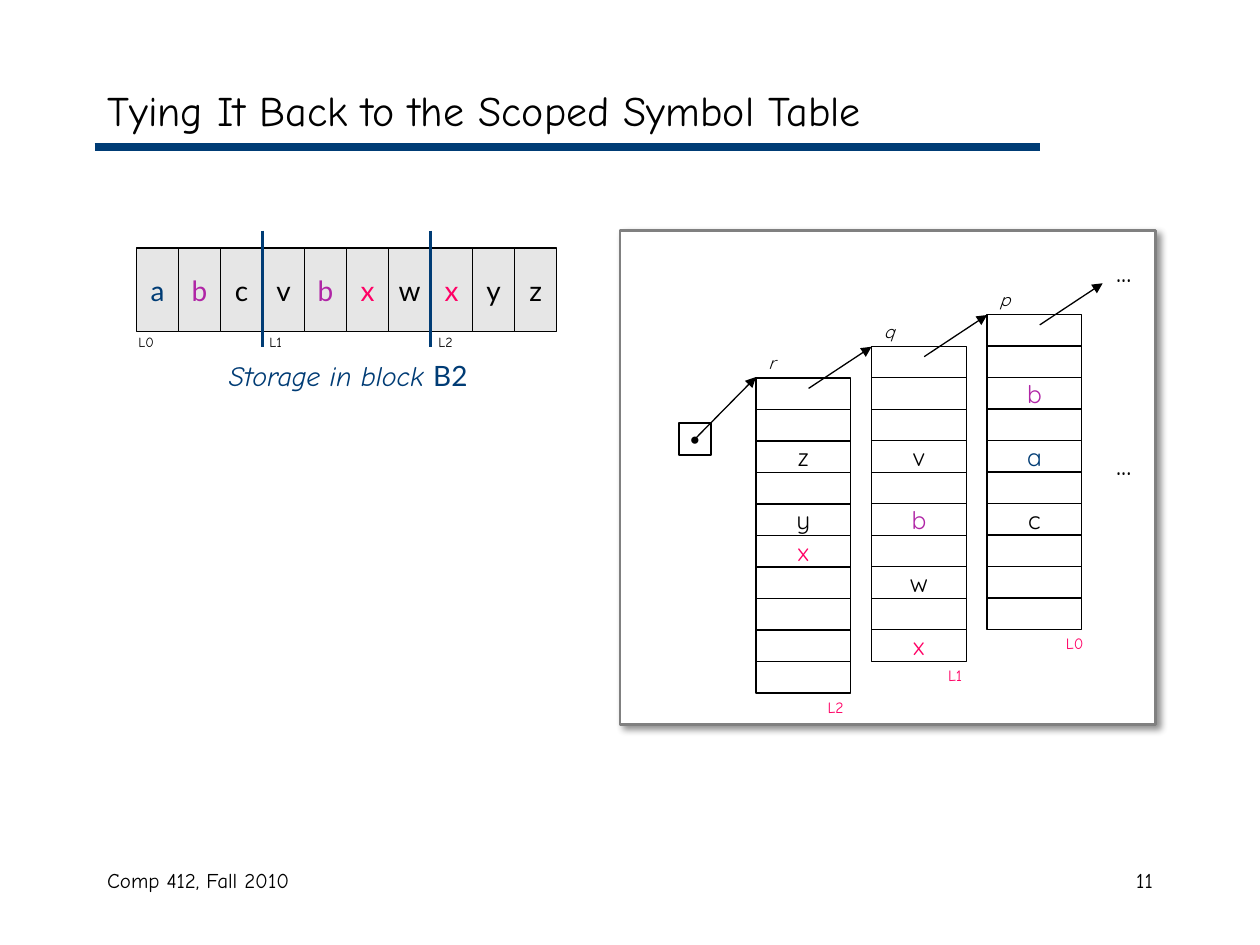
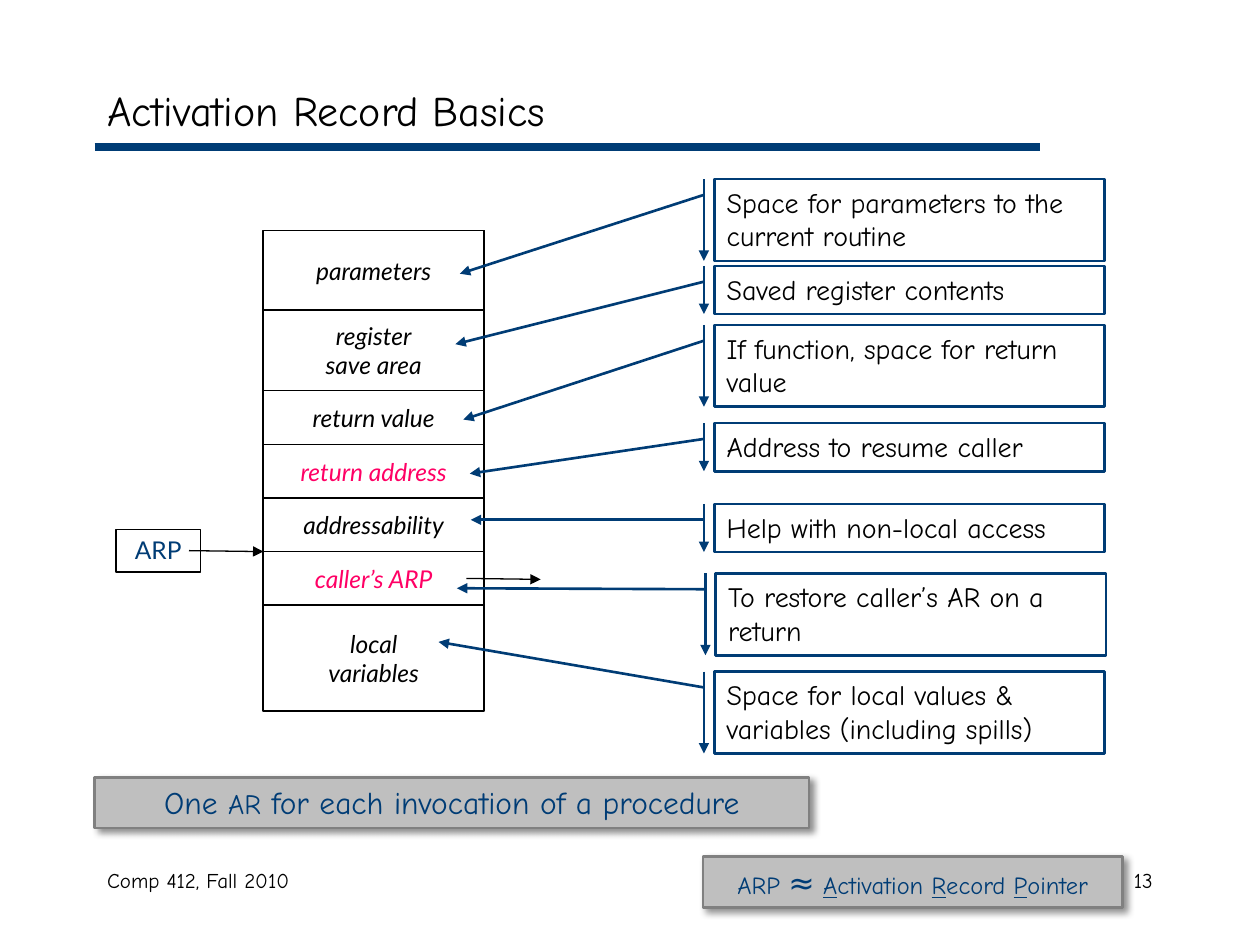
"""Build two lecture slides on scoped symbol tables and activation records."""
from dataclasses import dataclass
from typing import Any, NamedTuple

from lxml import etree
from pptx import Presentation
from pptx import util as u
from pptx.dml.color import RGBColor
from pptx.enum import shapes, text
from pptx.oxml import ns

COLORS = {
    "black": "000000", "white": "FFFFFF", "navy": "003C75", "pink": "FF0065",
    "purple": "B025A6", "cell": "E6E6E6", "banner": "BFBFBF", "edge": "808080",
}
HAND, SANS, ROUND = "Comic Neue", "Lato", "Quicksand"
LEFT, CENTER, RIGHT = text.PP_ALIGN.LEFT, text.PP_ALIGN.CENTER, text.PP_ALIGN.RIGHT
TOP, MIDDLE = text.MSO_ANCHOR.TOP, text.MSO_ANCHOR.MIDDLE
RECTANGLE = shapes.MSO_SHAPE.RECTANGLE
CALLOUT = shapes.MSO_SHAPE.LINE_CALLOUT_1_BORDER_AND_ACCENT_BAR


class Run(NamedTuple):
    """A stretch of text in one format; a line break starts a new paragraph."""
    words: str
    size: float
    name: str = HAND
    color: str = "black"
    italic: bool = False
    underline: bool = False


class Box(NamedTuple):
    """A rectangle in centimetres."""
    left: float
    top: float
    width: float
    height: float


class Point(NamedTuple):
    """A place in centimetres."""
    x: float
    y: float


@dataclass
class HashTable:
    """One level of the symbol table, with the names held in its slots."""
    name: str
    level: str
    slots: dict[int, str]
    colors: dict[str, str]


@dataclass
class Field:
    """One field of the activation record."""
    label: str
    height: float
    color: str = "black"


@dataclass
class Note:
    """A callout that explains a field of the record."""
    words: str
    top: float
    height: float
    target: Point
    left: float = 14.4


STORAGE = "abcvbxwxyz"
STORAGE_COLORS = ["navy", "purple", "black", "black", "purple", "pink", "black", "pink", "black", "black"]
SCOPES = [("L0", 2.54), ("L1", 5.18), ("L2", 8.59)]
DIVIDERS = [3, 7]
TABLES = [
    HashTable("r", "L2", {2: "z", 4: "y", 5: "x"}, {"x": "pink"}),
    HashTable("q", "L1", {3: "v", 5: "b", 7: "w", 9: "x"}, {"b": "purple", "x": "pink"}),
    HashTable("p", "L0", {2: "b", 4: "a", 6: "c"}, {"b": "purple", "a": "navy"}),
]
FIELDS = [
    Field("parameters", 1.6),
    Field("register\nsave area", 1.63),
    Field("return value", 1.08),
    Field("return address", 1.08, "pink"),
    Field("addressability", 1.08),
    Field("caller’s ARP", 1.08, "pink"),
    Field("local\nvariables", 2.13),
]
NOTES = [
    Note("Space for parameters to the current routine", 3.61, 1.65, Point(9.27, 5.52)),
    Note("Saved register contents", 5.36, 0.97, Point(9.18, 6.94)),
    Note("If function, space for return value", 6.55, 1.65, Point(9.34, 8.46)),
    Note("Address to resume caller", 8.53, 0.97, Point(9.47, 9.55)),
    Note("Help with non-local access", 10.16, 0.97, Point(9.49, 10.48)),
    Note("To restore caller’s AR on a\nreturn", 11.56, 1.65, Point(9.21, 11.86), 14.43),
    Note("Space for local values & variables (including spills)", 13.54, 1.65, Point(8.84, 12.94)),
]


def rgb(color: str) -> RGBColor:
    """Look up a named colour."""
    return RGBColor.from_string(COLORS[color])


def place(box: Box) -> list[u.Length]:
    """Turn a box into slide lengths."""
    return [u.Cm(value) for value in box]


def write(shape: Any, runs: list[Run], align: Any = LEFT, anchor: Any = TOP, wrap: bool = True) -> None:
    """Fill a shape with formatted runs."""
    frame = shape.text_frame
    for key, value in {"word_wrap": wrap, "vertical_anchor": anchor}.items():
        setattr(frame, key, value)
    paragraph = frame.paragraphs[0]
    paragraph.alignment = align
    for run in runs:
        for number, words in enumerate(run.words.split("\n")):
            if number:
                paragraph = frame.add_paragraph()
                paragraph.alignment = align
            piece = paragraph.add_run()
            piece.text = words
            formats = {"name": run.name, "size": u.Pt(run.size), "italic": run.italic, "underline": run.underline}
            for key, value in formats.items():
                setattr(piece.font, key, value)
            piece.font.color.rgb = rgb(run.color)


def add_label(slide: Any, box: Box, *runs: Run, align: Any = LEFT) -> None:
    """Add a plain text box."""
    write(slide.shapes.add_textbox(*place(box)), list(runs), align)


def set_line(shape: Any, color: str, width: float, arrow: bool = False) -> None:
    """Style an outline or a connector."""
    shape.line.color.rgb = rgb(color)
    shape.line.width = u.Pt(width)
    if arrow:
        line = shape.line._get_or_add_ln()
        etree.SubElement(line, ns.qn("a:tailEnd"), type="triangle")


def add_shape(slide: Any, box: Box, fill: str | None = None, line: str = "black", width: float = 0.75,
              kind: Any = RECTANGLE, arrow: bool = False) -> Any:
    """Add a preset shape without a shadow."""
    shape = slide.shapes.add_shape(kind, *place(box))
    shape.shadow.inherit = False
    if fill:
        shape.fill.solid()
        shape.fill.fore_color.rgb = rgb(fill)
    else:
        shape.fill.background()
    set_line(shape, line, width, arrow)
    return shape


def add_cell(slide: Any, box: Box, run: Run | None = None, fill: str | None = None, width: float = 0.75) -> None:
    """Add a rectangle with centred text."""
    shape = add_shape(slide, box, fill, width=width)
    if run:
        write(shape, [run], CENTER, MIDDLE, wrap=False)


def add_panel(slide: Any, box: Box, fill: str) -> Any:
    """Add a grey-edged panel with a soft drop shadow."""
    shape = add_shape(slide, box, fill, "edge", 1.5)
    effects = shape._element.spPr.find(ns.qn("a:effectLst"))
    shadow = etree.SubElement(effects, ns.qn("a:outerShdw"), blurRad=str(u.Pt(4)), dist=str(u.Pt(3)),
                              dir="2700000", algn="tl", rotWithShape="0")
    color = etree.SubElement(shadow, ns.qn("a:srgbClr"), val=COLORS["black"])
    etree.SubElement(color, ns.qn("a:alpha"), val="43000")
    return shape


def add_line(slide: Any, start: Point, end: Point, color: str = "black", width: float = 0.75,
             arrow: bool = False) -> None:
    """Add a straight connector."""
    line = slide.shapes.add_connector(shapes.MSO_CONNECTOR.STRAIGHT, *[u.Cm(value) for value in (*start, *end)])
    set_line(line, color, width, arrow)
    etree.SubElement(line._element.spPr, ns.qn("a:effectLst"))


def add_slide(presentation: Any, title: str, number: int) -> Any:
    """Add a slide with its title, rule and footers."""
    slide = presentation.slides.add_slide(presentation.slide_layouts[5])
    add_line(slide, Point(1.91, 2.97), Point(20.96, 2.97), "navy", 4.5)
    add_label(slide, Box(1.91, 17.36, 8.04, 1.27), Run("Comp 412, Fall 2010", 12))
    add_label(slide, Box(18.2, 17.36, 5.29, 1.27), Run(str(number), 12), align=RIGHT)
    heading = slide.shapes.title
    for key, value in zip(("left", "top", "width", "height"), place(Box(1.91, 1.48, 21.59, 1.48))):
        setattr(heading, key, value)
    heading.text_frame.auto_size = text.MSO_AUTO_SIZE.NONE
    write(heading, [Run(title, 24)], LEFT, MIDDLE)
    return slide


def draw_storage(slide: Any) -> None:
    """Draw the block's storage as a row of cells split by scope."""
    left, top, width = 2.75, 5.0, 8.47 / len(STORAGE)
    add_label(slide, Box(3.63, 7.11, 6.78, 0.94), Run("Storage in block ", 16, HAND, "navy", italic=True),
              Run("B2", 16, SANS, "navy"), align=CENTER)
    for index, (letter, color) in enumerate(zip(STORAGE, STORAGE_COLORS)):
        add_cell(slide, Box(left + index * width, top, width, 1.69), Run(letter, 16, SANS, color), "cell")
    for index in DIVIDERS:
        x = left + index * width
        add_line(slide, Point(x, 4.65), Point(x, 6.99), "navy", 1.5)
    for level, label_left in SCOPES:
        add_label(slide, Box(label_left, 6.6, 0.85, 0.58), Run(level, 8))


def draw_tables(slide: Any) -> None:
    """Draw the chain of hash tables, innermost scope first."""
    add_panel(slide, Box(12.5, 4.65, 10.8, 9.96), "white")
    height, slot_count = 6.35, 10
    slot_height = height / slot_count
    for index, table in enumerate(TABLES):
        left, top = 15.24 + 2.33 * index, 7.62 - 0.64 * index
        for slot in range(slot_count):
            letter = table.slots.get(slot)
            run = Run(letter, 14, ROUND, table.colors.get(letter, "black")) if letter else None
            add_cell(slide, Box(left, top + slot * slot_height, 1.91, slot_height), run)
        start = Point(left + 1.06, top + 0.21)
        add_line(slide, start, Point(start.x + 1.27, start.y - 0.84), arrow=True)
        add_label(slide, Box(left, top - 0.64, 1.48, 0.69), Run(table.name, 10, ROUND, italic=True))
        add_label(slide, Box(16.31 + 2.41 * index, top + height - 0.03, 1.07, 0.64),
                  Run(table.level, 9, HAND, "pink"), align=CENTER)
    add_cell(slide, Box(13.69, 8.53, 0.64, 0.64), Run("•", 16, ROUND), width=1)
    add_line(slide, Point(13.97, 8.89), Point(15.24, 7.6), arrow=True)
    for top in (5.0, 8.89):
        add_label(slide, Box(22.02, top, 1.27, 0.94), Run("...", 16, ROUND), align=CENTER)


def draw_record(slide: Any) -> None:
    """Draw the activation record and its pointers."""
    left, top, width = 5.31, 4.65, 4.45
    add_cell(slide, Box(left, top, width, sum(field.height for field in FIELDS)), width=1)
    for field in FIELDS:
        add_cell(slide, Box(left, top, width, field.height), Run(field.label, 14, SANS, field.color, italic=True))
        top += field.height
    pointer = add_shape(slide, Box(2.34, 10.67, 1.7, 0.86))
    write(pointer, [Run("ARP", 14, SANS, "navy")], CENTER)
    for start in (Point(3.81, 11.1), Point(9.4, 11.66)):
        add_line(slide, start, Point(start.x + 1.5, start.y + 0.02), arrow=True)


def draw_note(slide: Any, note: Note) -> None:
    """Draw a callout whose leader ends at its target."""
    box = Box(note.left, note.top, 7.87, note.height)
    shape = add_shape(slide, box, None, "navy", 1.5, CALLOUT, arrow=True)
    start = Point(box.left - 0.21, box.top + 0.32)
    ratios = [ratio for point in (start, note.target)
              for ratio in ((point.y - box.top) / box.height, (point.x - box.left) / box.width)]
    for index, ratio in enumerate(ratios):
        shape.adjustments[index] = ratio
    write(shape, [Run(note.words, 16)])


def draw_banners(slide: Any) -> None:
    """Draw the two grey summary banners."""
    summary = [Run("One ", 18, HAND, "navy"), Run("AR", 16, HAND, "navy"),
               Run(" for each invocation of a procedure", 18, HAND, "navy")]
    meaning = [Run("ARP ", 14, HAND, "navy"), Run("≈", 18, HAND, "navy"), Run(" ", 14, HAND, "navy")]
    for initial, rest in (("A", "ctivation "), ("R", "ecord "), ("P", "ointer")):
        meaning += [Run(initial, 14, HAND, "navy", underline=True), Run(rest, 14, HAND, "navy")]
    for box, runs in ((Box(1.91, 15.67, 14.4, 1.02), summary), (Box(14.17, 17.27, 8.46, 1.02), meaning)):
        write(add_panel(slide, box, "banner"), runs, CENTER)


def main() -> None:
    """Build and save the presentation."""
    presentation = Presentation()
    presentation.slide_width, presentation.slide_height = u.Cm(25.4), u.Cm(19.05)
    scopes = add_slide(presentation, "Tying It Back to the Scoped Symbol Table", 11)
    draw_storage(scopes)
    draw_tables(scopes)
    record = add_slide(presentation, "Activation Record Basics", 13)
    draw_record(record)
    for note in NOTES:
        draw_note(record, note)
    draw_banners(record)
    presentation.save("out.pptx")


if __name__ == "__main__":
    main()
